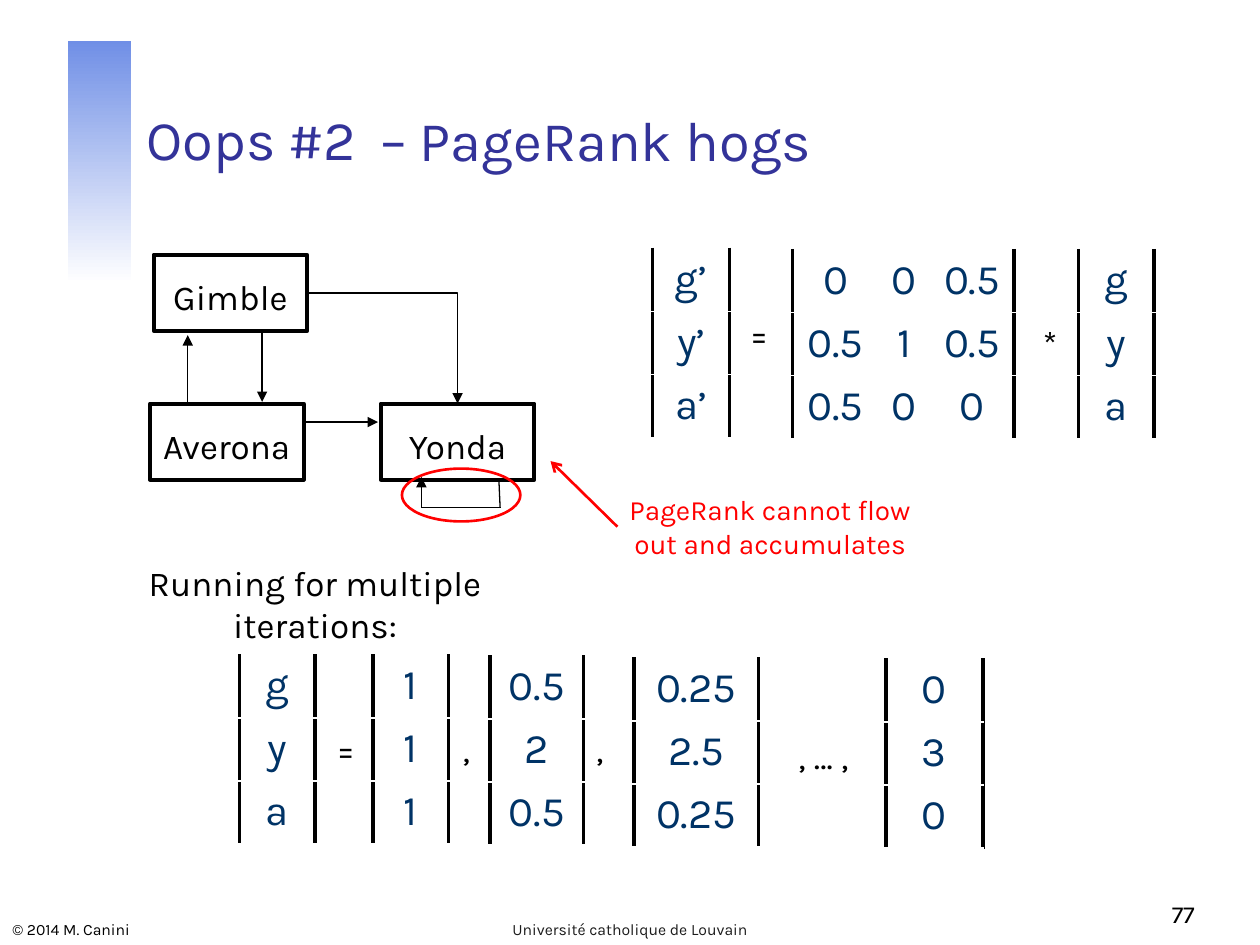
import pptx
import pptx.util
import pptx.dml.color
import pptx.enum.shapes
import pptx.enum.text
import pptx.oxml
import pptx.oxml.ns
from dataclasses import dataclass

Pt = pptx.util.Pt
RGB = pptx.dml.color.RGBColor
qn = pptx.oxml.ns.qn
Align = pptx.enum.text.PP_ALIGN
Anchor = pptx.enum.text.MSO_ANCHOR
Shape = pptx.enum.shapes.MSO_SHAPE
Connector = pptx.enum.shapes.MSO_CONNECTOR


@dataclass(frozen=True)
class Theme:
    font: str = "Karla"
    ink: str = "000000"
    footer: str = "1C1C1C"
    title: str = "333399"
    matrix: str = "003366"
    alert: str = "FF0000"
    band_top: str = "708FE6"
    band_bottom: str = "FFFFFF"
    title_size: float = 32
    matrix_size: float = 24
    body_size: float = 20
    note_size: float = 16
    number_size: float = 14
    footer_size: float = 9
    thick: float = 2.25
    medium: float = 1.5
    thin: float = 0.75


@dataclass(frozen=True)
class Label:
    text: str
    left: float
    top: float
    width: float
    height: float
    size: float
    color: str
    align: Align = Align.CENTER
    anchor: Anchor = Anchor.TOP
    wrap: bool = True


@dataclass(frozen=True)
class Arrow:
    start: tuple[float, float]
    end: tuple[float, float]
    head: str = "triangle"


@dataclass(frozen=True)
class Matrix:
    left: float
    top: float
    widths: tuple[float, ...]
    rows: tuple[tuple[str, ...], ...]


T = Theme()
ROW_HEIGHT = 36
NODE_SIZE = (87.8, 43.5)


def write(tf, text: str, size: float, color: str, align: Align) -> None:
    p = tf.paragraphs[0]
    p.alignment = align
    for i, line in enumerate(text.split("\n")):
        if i:
            p.add_line_break()
        r = p.add_run()
        r.text = line
        r.font.name = T.font
        r.font.size = Pt(size)
        r.font.color.rgb = RGB.from_string(color)


def add_label(s, label: Label) -> None:
    box = s.shapes.add_textbox(Pt(label.left), Pt(label.top), Pt(label.width), Pt(label.height))
    tf = box.text_frame
    tf.word_wrap = label.wrap
    tf.vertical_anchor = label.anchor
    write(tf, label.text, label.size, label.color, label.align)


def add_outline(s, kind: Shape, left: float, top: float, width: float, height: float,
                color: str, weight: float):
    sp = s.shapes.add_shape(kind, Pt(left), Pt(top), Pt(width), Pt(height))
    sp.shadow.inherit = False
    sp.fill.background()
    sp.line.color.rgb = RGB.from_string(color)
    sp.line.width = Pt(weight)
    return sp


def add_node(s, name: str, left: float, top: float):
    sp = add_outline(s, Shape.RECTANGLE, left, top, *NODE_SIZE, T.ink, T.thick)
    tf = sp.text_frame
    tf.word_wrap = False
    tf.margin_top = Pt(7.6)
    tf.vertical_anchor = Anchor.MIDDLE
    write(tf, name, T.body_size, T.ink, Align.CENTER)
    return sp


def add_arrow(s, arrow: Arrow, color: str = T.ink, weight: float = T.thin,
              kind: Connector = Connector.STRAIGHT):
    points = [Pt(v) for v in arrow.start + arrow.end]
    line = s.shapes.add_connector(kind, *points)
    line.line.color.rgb = RGB.from_string(color)
    line.line.width = Pt(weight)
    props = line._element.spPr
    if arrow.head:
        tail = pptx.oxml.parse_xml(
            f'<a:tailEnd {pptx.oxml.ns.nsdecls("a")} type="{arrow.head}"/>')
        props.find(qn("a:ln")).append(tail)
    props.append(pptx.oxml.parse_xml(f'<a:effectLst {pptx.oxml.ns.nsdecls("a")}/>'))
    return line


def add_bar(cell, side: str) -> None:
    """Draw one vertical matrix bar on a cell edge."""
    bar = pptx.oxml.parse_xml(
        f'<a:{side} {pptx.oxml.ns.nsdecls("a")} w="{Pt(T.thick)}"><a:solidFill>'
        f'<a:srgbClr val="{T.ink}"/></a:solidFill></a:{side}>')
    cell._tc.get_or_add_tcPr().insert(0, bar)


def add_matrix(s, m: Matrix) -> None:
    frame = s.shapes.add_table(len(m.rows), len(m.widths), Pt(m.left), Pt(m.top),
                               Pt(sum(m.widths)), Pt(ROW_HEIGHT * len(m.rows)))
    table = frame.table
    table.first_row = table.horz_banding = False
    for column, width in zip(table.columns, m.widths):
        column.width = Pt(width)
    for i, values in enumerate(m.rows):
        table.rows[i].height = Pt(ROW_HEIGHT)
        for j, value in enumerate(values):
            cell = table.cell(i, j)
            cell.fill.background()
            write(cell.text_frame, value, T.matrix_size, T.matrix, Align.CENTER)
        add_bar(table.cell(i, len(values) - 1), "lnR")
        add_bar(table.cell(i, 0), "lnL")


def vector(left: float, top: float, width: float, *values: str) -> Matrix:
    return Matrix(left, top, (width,), tuple((v,) for v in values))


def mark(text: str, left: float, top: float, width: float) -> Label:
    return Label(text, left, top, width, 36, T.body_size, T.ink)


MATRICES = [
    vector(373, 142, 44, "g’", "y’", "a’"),
    Matrix(453, 142.6, (49, 29.5, 48),
           (("0", "0", "0.5"), ("0.5", "1", "0.5"), ("0.5", "0", "0"))),
    vector(616.3, 142.6, 43.2, "g", "y", "a"),
    vector(136.8, 374.4, 43.2, "g", "y", "a"),
    vector(213.1, 374.4, 43.2, "1", "1", "1"),
    vector(280.1, 375, 53.5, "0.5", "2", "0.5"),
    vector(362.2, 376, 71.3, "0.25", "2.5", "0.25"),
    vector(506.2, 376.6, 55.4, "0", "3", "0"),
]

LABELS = [
    mark("=", 419.8, 174.8, 28), mark("*", 586.8, 180, 26.6),
    mark("=", 183.6, 412.4, 28), mark(",", 256.3, 412.4, 20.2),
    mark(",", 332.6, 412.4, 20.2), mark(", … ,", 441.4, 416, 58.3),
    Label("Running for multiple iterations:", 74, 317.3, 212, 56, T.body_size, T.ink),
    Label("PageRank cannot flow\nout and accumulates", 350.8, 278, 178.6, 46,
          T.note_size, T.alert, wrap=False),
    Label("– PageRank hogs", 210.2, 53.3, 268.6, 49, T.title_size, T.title,
          Align.LEFT, Anchor.BOTTOM),
    Label("© 2014 M. Canini", 0, 519.8, 217.4, 20.2, T.footer_size, T.ink,
          Align.LEFT, Anchor.BOTTOM),
    Label("Université catholique de Louvain", 246.2, 519.8, 227.5, 20.2,
          T.footer_size, T.footer, anchor=Anchor.BOTTOM),
    Label("77", 540, 498.2, 149.8, 36, T.number_size, T.ink, Align.RIGHT, Anchor.BOTTOM),
]

ARROWS = [
    Arrow((107.3, 229.7), (107.3, 191.5)),
    Arrow((149.8, 190), (149.8, 229.7)),
    Arrow((175, 241.2), (216, 241.2)),
    # self-loop
    Arrow((285.1, 274.3), (285.8, 290.2), ""),
    Arrow((285.8, 290.2), (240.8, 290.2), ""),
    Arrow((240.8, 290.2), (240.8, 272.5)),
]


def main() -> None:
    prs = pptx.Presentation()
    prs.slide_width, prs.slide_height = Pt(720), Pt(540)
    s = prs.slides.add_slide(prs.slide_layouts[5])

    # Gradient band
    band = s.shapes.add_shape(Shape.RECTANGLE, Pt(39), Pt(23.2), Pt(36), Pt(139))
    band.shadow.inherit = False
    band.line.fill.background()
    band.fill.gradient()
    band.fill.gradient_angle = 270
    for stop, color in zip(band.fill.gradient_stops, (T.band_top, T.band_bottom)):
        stop.color.rgb = RGB.from_string(color)

    # Title
    title = s.shapes.title
    title.left, title.top, title.width, title.height = Pt(76.6), Pt(24), Pt(613), Pt(78)
    title.text_frame.vertical_anchor = Anchor.BOTTOM
    write(title.text_frame, "Oops #2", T.title_size, T.title, Align.LEFT)

    # Link graph
    g_node = add_node(s, "Gimble", 87.8, 145.6)
    add_node(s, "Averona", 85.7, 230.6)
    y_node = add_node(s, "Yonda", 217.6, 230.6)
    for arrow in ARROWS:
        add_arrow(s, arrow)
    elbow = add_arrow(s, Arrow((175.6, 167.4), (261.5, 230.6)), kind=Connector.ELBOW)
    elbow._element.spPr.find(qn("a:prstGeom")).set("prst", "bentConnector2")
    elbow.begin_connect(g_node, 3)
    elbow.end_connect(y_node, 0)

    # Matrices and wording
    for matrix in MATRICES:
        add_matrix(s, matrix)
    for label in LABELS:
        add_label(s, label)

    # Red callout
    add_arrow(s, Arrow((352.8, 301), (314.6, 263.5), "arrow"), T.alert, T.medium)
    add_outline(s, Shape.OVAL, 229.7, 267.8, 67.7, 30.2, T.alert, T.medium)

    prs.save("out.pptx")


if __name__ == "__main__":
    main()
